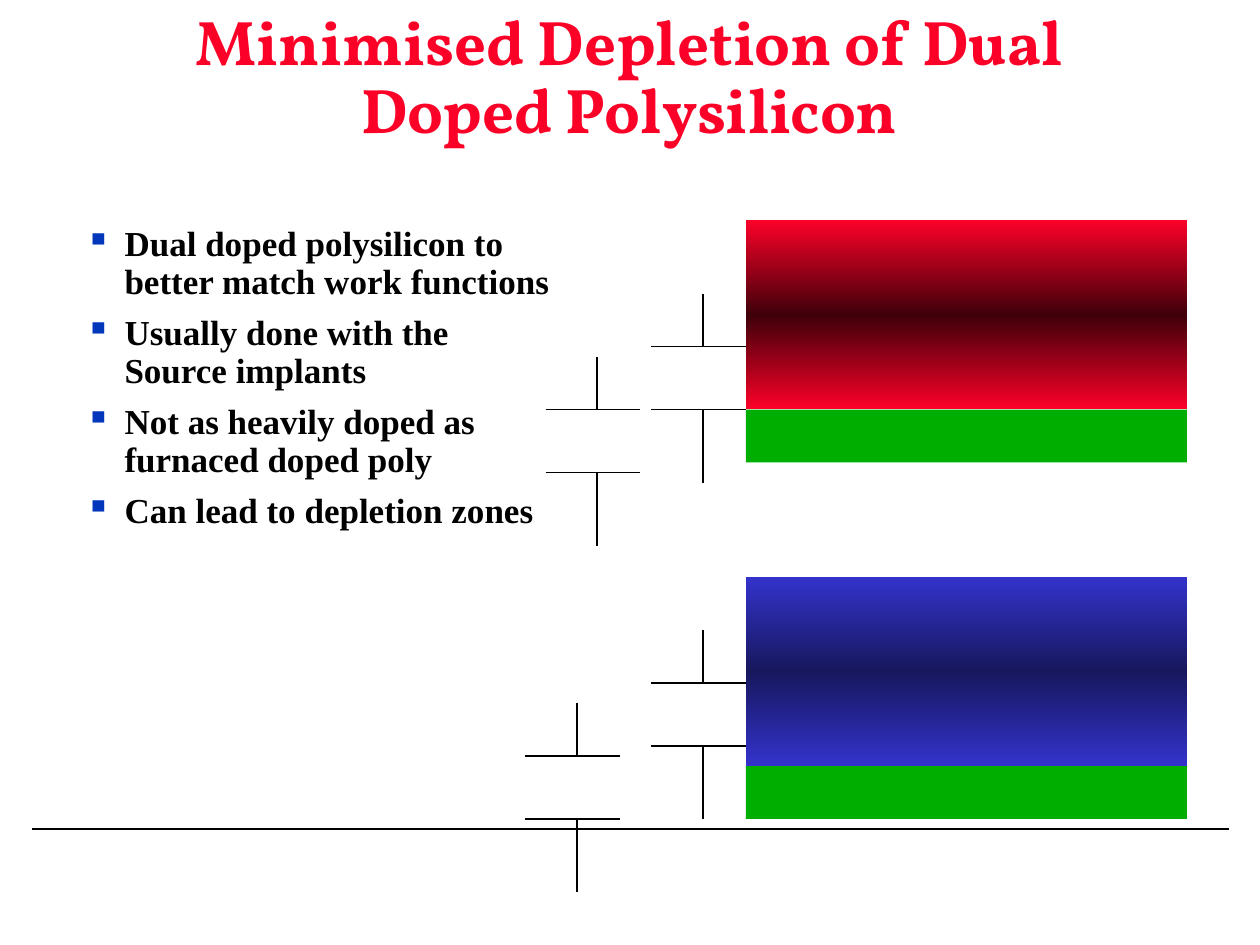
from copy import deepcopy
from dataclasses import dataclass

from lxml import etree
from pptx import Presentation
from pptx.dml.color import RGBColor
from pptx.enum.shapes import MSO_CONNECTOR, MSO_SHAPE
from pptx.enum.text import MSO_ANCHOR, PP_ALIGN
from pptx.oxml.ns import qn
from pptx.util import Inches, Pt

LINE = MSO_CONNECTOR.STRAIGHT
RECT = MSO_SHAPE.RECTANGLE
MIDDLE, TOP = MSO_ANCHOR.MIDDLE, MSO_ANCHOR.TOP
CENTER, LEFT = PP_ALIGN.CENTER, PP_ALIGN.LEFT

COLORS = {
    "ink": "000000",
    "red": "FC0128",
    "wine": "3F000A",
    "blue": "3333CC",
    "navy": "17175E",
    "green": "00AE00",
    "mark": "0237BC",
}
TITLE = "Minimised Depletion of Dual Doped Polysilicon"
POINTS = [
    "Dual doped polysilicon to better match work functions",
    "Usually done with the Source implants",
    "Not as heavily doped as furnaced doped poly",
    "Can lead to depletion zones",
]
GATE_LEFT, GATE_WIDTH = 5.92, 3.5
POLY_HEIGHT, OXIDE_HEIGHT = 1.5, 0.42


@dataclass
class Gate:
    top: float
    edge: str
    core: str


@dataclass
class Cap:
    left: float
    top: float


GATES = [Gate(1.75, "red", "wine"), Gate(4.58, "blue", "navy")]
CAPS = [Cap(4.33, 2.83), Cap(4.17, 5.58), Cap(5.17, 5), Cap(5.17, 2.33)]


def color(name: str) -> RGBColor:
    return RGBColor.from_string(COLORS[name])


def assign(target, values: dict) -> None:
    for key, value in values.items():
        setattr(target, key, value)


def add_text(slide, box: tuple, lines: list[str], frame: dict,
             para: dict, font: dict, ink: str) -> list:
    text = slide.shapes.add_textbox(*map(Inches, box)).text_frame
    assign(text, {"word_wrap": True, **frame})
    text.text = "\n".join(lines)
    for item in text.paragraphs:
        assign(item, para)
        assign(item.runs[0].font, font)
        item.runs[0].font.color.rgb = color(ink)
    return list(text.paragraphs)


def add_bullet(item) -> None:
    props = item._p.get_or_add_pPr()
    props.set("marL", str(Inches(0.31)))
    props.set("indent", str(-Inches(0.31)))
    tint = etree.SubElement(props, qn("a:buClr"))
    etree.SubElement(tint, qn("a:srgbClr"), val=COLORS["mark"])
    etree.SubElement(props, qn("a:buChar"), char="▪")


def add_line(shapes, x: float, y: float, to_x: float, to_y: float) -> None:
    line = shapes.add_connector(LINE, *map(Inches, (x, y, to_x, to_y)))
    line.line.color.rgb = color("ink")
    line.line.width = Pt(1)
    etree.SubElement(line._element.spPr, qn("a:effectLst"))


def add_block(slide, top: float, height: float):
    block = slide.shapes.add_shape(
        RECT, *map(Inches, (GATE_LEFT, top, GATE_WIDTH, height)))
    block.shadow.inherit = False
    block.line.fill.background()
    return block


def add_poly(slide, gate: Gate) -> None:
    block = add_block(slide, gate.top, POLY_HEIGHT)
    fill = block.fill
    fill.gradient()
    fill.gradient_angle = 270
    stops = block._element.spPr.find(qn("a:gradFill")).find(qn("a:gsLst"))
    stops.insert(1, deepcopy(stops[0]))
    shades = (gate.edge, gate.core, gate.edge)
    for stop, place, shade in zip(fill.gradient_stops, (0, 0.5, 1), shades):
        stop.position = place
        stop.color.rgb = color(shade)


def add_oxide(slide, gate: Gate) -> None:
    block = add_block(slide, gate.top + POLY_HEIGHT, OXIDE_HEIGHT)
    block.fill.solid()
    block.fill.fore_color.rgb = color("green")


def add_cap(slide, cap: Cap) -> None:
    shapes = slide.shapes.add_group_shape().shapes
    mid, right = cap.left + 0.41, cap.left + 0.75
    upper, lower = cap.top + 0.42, cap.top + 0.92
    add_line(shapes, mid, cap.top, mid, upper)
    add_line(shapes, mid, lower, mid, cap.top + 1.5)
    for y in (upper, lower):
        add_line(shapes, cap.left, y, right, y)


def main() -> None:
    deck = Presentation()
    assign(deck, {"slide_width": Inches(10), "slide_height": Inches(7.5)})
    slide = deck.slides.add_slide(deck.slide_layouts[6])
    add_line(slide.shapes, 0.25, 6.58, 9.75, 6.58)
    add_text(slide, (1.08, 0, 7.83, 1.25), [TITLE],
             {"vertical_anchor": MIDDLE},
             {"alignment": CENTER, "line_spacing": 0.9},
             {"name": "Vollkorn", "size": Pt(36), "bold": True}, "red")
    items = add_text(slide, (0.58, 1.75, 3.92, 4), POINTS,
                     {"vertical_anchor": TOP},
                     {"alignment": LEFT, "line_spacing": 0.9,
                      "space_before": Pt(7.5)},
                     {"name": "Times New Roman", "size": Pt(20),
                      "bold": True}, "ink")
    for item in items:
        add_bullet(item)
    for gate in GATES:
        add_poly(slide, gate)
        add_oxide(slide, gate)
    for cap in CAPS:
        add_cap(slide, cap)
    deck.save("out.pptx")


if __name__ == "__main__":
    main()
